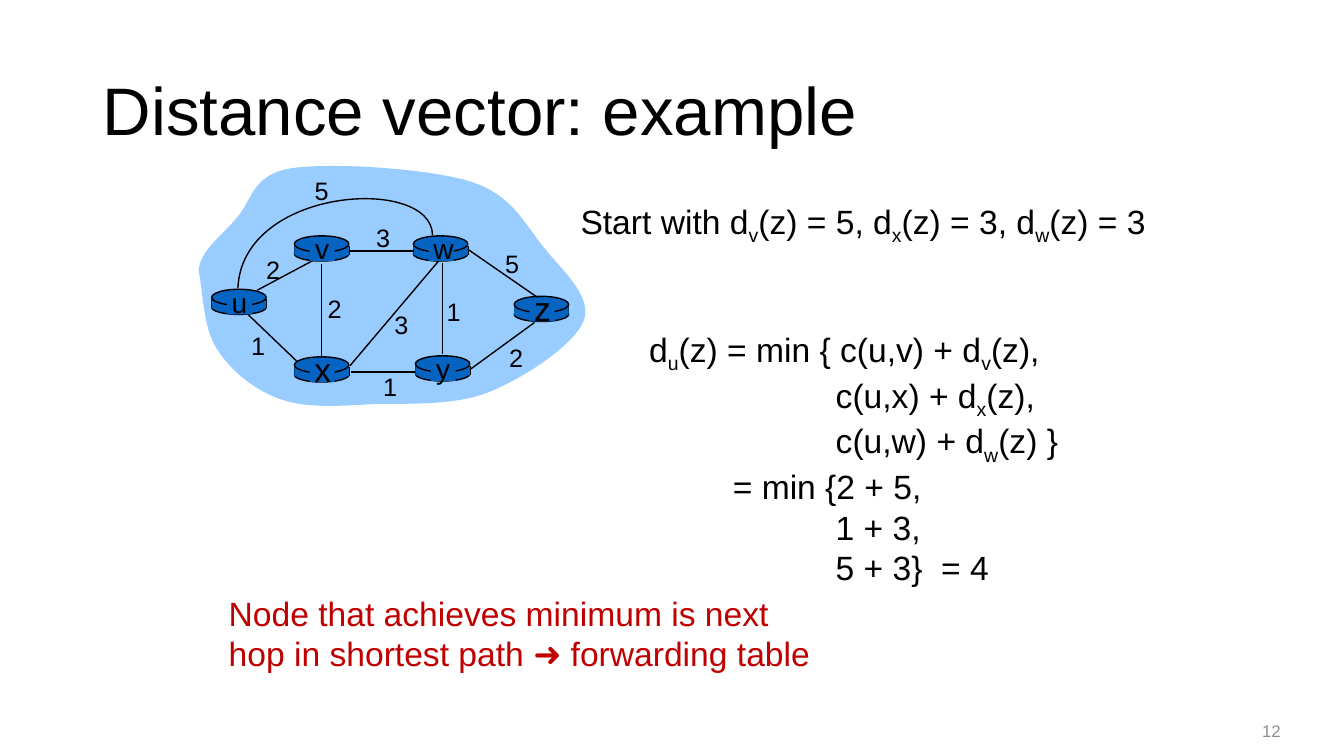
from lxml import etree
from pptx import Presentation
from pptx.dml.color import RGBColor
from pptx.enum.shapes import MSO_CONNECTOR as Link, MSO_SHAPE as Shape
from pptx.enum.text import MSO_ANCHOR as Anchor, MSO_AUTO_SIZE as Fit, PP_ALIGN as Align
from pptx.oxml.ns import qn
from pptx.util import Inches, Pt

COLUMNS, ROWS = 133.3, 75  # square grid cells of a tenth of an inch
BLACK, BLUE, SKY, RED, GREY = "000000", "0563C1", "99CCFF", "C00000", "8C8C8C"

# Left edge and top of each router, and the size of its letter
ROUTERS = {"u": (21, 28.7, 20), "x": (29.2, 35.4, 24), "v": (29.2, 23.4, 20),
           "w": (41, 23.4, 20), "y": (41.2, 35.3, 20), "z": (51, 29.4, 24)}
UV_LINK = (25.5, 28.8, 31.5, 25.6)
LINKS = [(43.9, 26.1, 43.9, 35.1), (31.9, 26.2, 31.9, 35.5),
         (34.7, 36.3, 43.5, 25.9), (46.7, 36.6, 53, 32),
         (41.2, 36.9, 34.8, 36.9), (29.4, 35.8, 24.6, 31.2),
         (41.1, 24.9, 34.7, 24.9), (53.3, 29.5, 46.5, 24.8)]
# Cost of each link and the centre of its number
COSTS = [("2", 27.1, 26.8), ("2", 33.2, 30.7), ("1", 25.6, 34.3),
         ("3", 39.8, 32.2), ("1", 38.7, 38.4), ("1", 45, 30.9),
         ("2", 51.2, 35.5), ("5", 50.8, 26.2), ("3", 38, 23.6), ("5", 31.9, 18.9)]
# Start point, then two control points and an end point per curve
CLOUD = [(19.7, 26.9),
         (19.8, 24.9), (22, 23.4), (23.5, 21.6), (25, 19.9), (25, 17.3), (28.9, 16.7),
         (32.7, 16.1), (42.4, 16.7), (46.6, 18), (50.8, 19.3), (52, 22.2), (53.9, 24.5),
         (55.7, 26.8), (58.8, 29.4), (57.9, 31.8), (57, 34.2), (52, 37.5), (48.5, 38.9),
         (45, 40.3), (40.4, 40), (36.9, 40.1), (33.5, 40.3), (30.3, 40.5), (27.8, 39.6),
         (25.2, 38.7), (22.8, 36.7), (21.5, 34.6), (20.1, 32.5), (20.1, 28.5), (19.7, 26.9)]
UW_ARC = [(42.9, 23.3), (42.8, 17.4), (24, 18.5), (23.6, 28.6)]


def grid(*cells):
    return [Inches(cell / 10) for cell in cells]


def colour(code):
    return RGBColor.from_string(code)


def paint(shape, fill=None, line=None):
    shape.shadow.inherit = False
    if fill:
        shape.fill.solid()
        shape.fill.fore_color.rgb = colour(fill)
    else:
        shape.fill.background()
    if line:
        shape.line.color.rgb = colour(line)
        shape.line.width = Pt(1)
    else:
        shape.line.fill.background()


def add_preset(shapes, kind, left, top, width, height, fill=None, line=None):
    paint(shapes.add_shape(kind, *grid(left, top, width, height)), fill, line)


def add_link(shapes, ends):
    link = shapes.add_connector(Link.STRAIGHT, *grid(*ends))
    link.line.color.rgb = colour(BLACK)
    link.line.width = Pt(1)
    etree.SubElement(link._element.spPr, qn("a:effectLst"))


def add_curve(shapes, points, closed=False, **look):
    """Draw a chain of cubic curves through every third point."""
    builder = shapes.build_freeform(*grid(*points[0]))
    builder.add_line_segments([grid(*point) for point in points[1:]], close=closed)
    shape = builder.convert_to_shape()
    # Join each three straight segments into one cubic curve
    segments = list(shape._element.iter(qn("a:lnTo")))
    for first in range(0, len(segments), 3):
        lead, *others = segments[first:first + 3]
        lead.tag = qn("a:cubicBezTo")
        for other in others:
            lead.append(other[0])
            other.getparent().remove(other)
    paint(shape, **look)


def write(para, text, size=24, ink=BLACK, align=Align.LEFT, indent=0):
    """Write text in which an underscore lowers the next letter."""
    para.alignment = align
    if indent:
        para._p.get_or_add_pPr().set("marL", str(Inches(indent / 10)))

    def add_span(words, lowered=False):
        span = para.add_run()
        span.text = words
        span.font.size, span.font.name = Pt(size), "Arial"
        span.font.color.rgb = colour(ink)
        if lowered:
            span._r.get_or_add_rPr().set("baseline", "-25000")

    start, *pieces = text.split("_")
    if start:
        add_span(start)
    for piece in pieces:
        add_span(piece[0], lowered=True)
        add_span(piece[1:])


def add_text(shapes, lines, left, top, width, height, anchor=Anchor.TOP, **form):
    """Add a box of (text, indent) lines."""
    box = shapes.add_textbox(*grid(left, top, width, height))
    frame = box.text_frame
    frame.word_wrap = False
    frame.auto_size = Fit.SHAPE_TO_FIT_TEXT
    frame.vertical_anchor = anchor
    for number, (text, indent) in enumerate(lines):
        para = frame.add_paragraph() if number else frame.paragraphs[0]
        write(para, text, indent=indent, **form)


def add_label(shapes, text, x, y, size):
    width, height = 3.5, size * 0.155 + 1.3
    add_text(shapes, [(text, 0)], x - width / 2, y - height / 2, width, height,
             size=size, align=Align.CENTER)


def add_router(shapes, left, top):
    width = 5.4
    add_preset(shapes, Shape.OVAL, left, top + 1.1, width, 1.4, BLUE, BLACK)
    for side in (left, left + width):
        add_link(shapes, (side, top + 1, side, top + 1.9))
    add_preset(shapes, Shape.RECTANGLE, left, top + 1, width, 0.9, BLUE)
    add_preset(shapes, Shape.OVAL, left, top, width, 1.6, BLUE, BLACK)


def add_network(page):
    shapes = page.shapes.add_group_shape().shapes
    add_curve(shapes, CLOUD, closed=True, fill=SKY)
    add_link(shapes, UV_LINK)
    for left, top, _ in ROUTERS.values():
        add_router(shapes, left, top)
    for ends in LINKS:
        add_link(shapes, ends)
    add_curve(shapes, UW_ARC, line=BLACK)
    # Router letters on their plates
    for name, (left, top, size) in ROUTERS.items():
        add_preset(shapes, Shape.RECTANGLE, left + 1.5, top + 0.2, 2.5, 2.3, BLUE)
        add_label(shapes, name, left + 2.75, top + 1.8 - size / 40, size)
    for cost, x, y in COSTS:
        add_label(shapes, cost, x, y, 18)


def add_title(page, text):
    title = page.shapes.title
    title.left, title.top, title.width, title.height = grid(9.2, 4, 115, 14.5)
    title.text_frame.vertical_anchor = Anchor.MIDDLE
    para = title.text_frame.paragraphs[0]
    para.line_spacing = 0.9
    write(para, text, size=48)


def main():
    deck = Presentation()
    deck.slide_width, deck.slide_height = grid(COLUMNS, ROWS)
    page = deck.slides.add_slide(deck.slide_layouts[5])
    add_text(page.shapes, [("12", 0)], 121.9, 71, 8.4, 3, anchor=Anchor.MIDDLE,
             size=12, ink=GREY, align=Align.CENTER)
    add_title(page, "Distance vector: example")
    add_network(page)

    # Known distances, the update for u, and the conclusion
    add_text(page.shapes, [("Start with d_v(z) = 5, d_x(z) = 3, d_w(z) = 3", 0)],
             56.6, 19.4, 59, 5)
    equals, terms = 8.3, 18.5
    add_text(page.shapes, [("d_u(z) = min { c(u,v) + d_v(z),", 0),
                           ("c(u,x) + d_x(z),", terms),
                           ("c(u,w) + d_w(z) }", terms),
                           ("= min {2 + 5,", equals),
                           ("1 + 3,", terms),
                           ("5 + 3}\u00a0 = 4", terms)], 63.4, 32.1, 43.1, 25.2)
    add_text(page.shapes, [("Node that achieves minimum is next", 0),
                           ("hop in shortest path ➜ forwarding table", 0)],
             21.7, 58.3, 60.8, 9.1, ink=RED)
    deck.save("out.pptx")


main()
